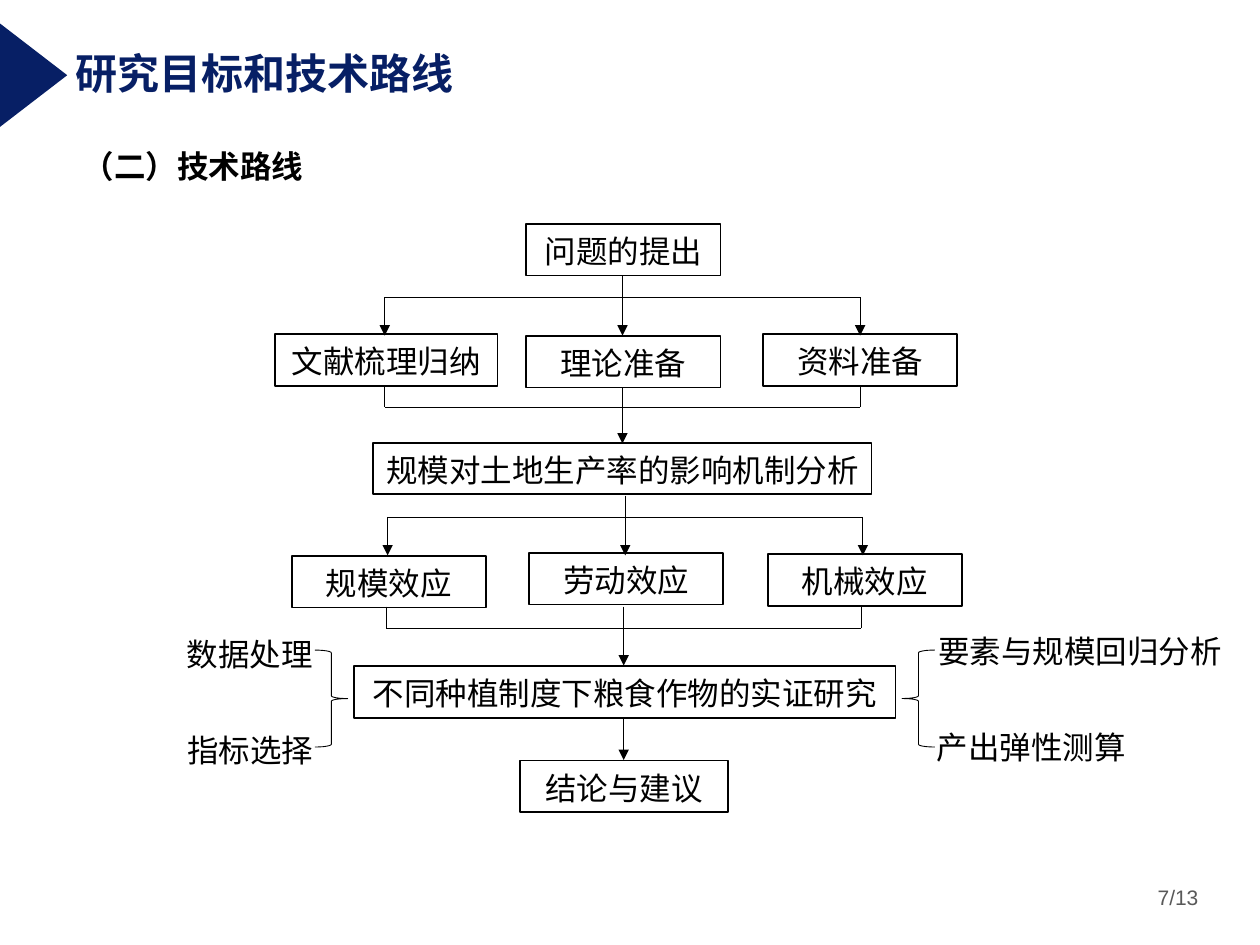
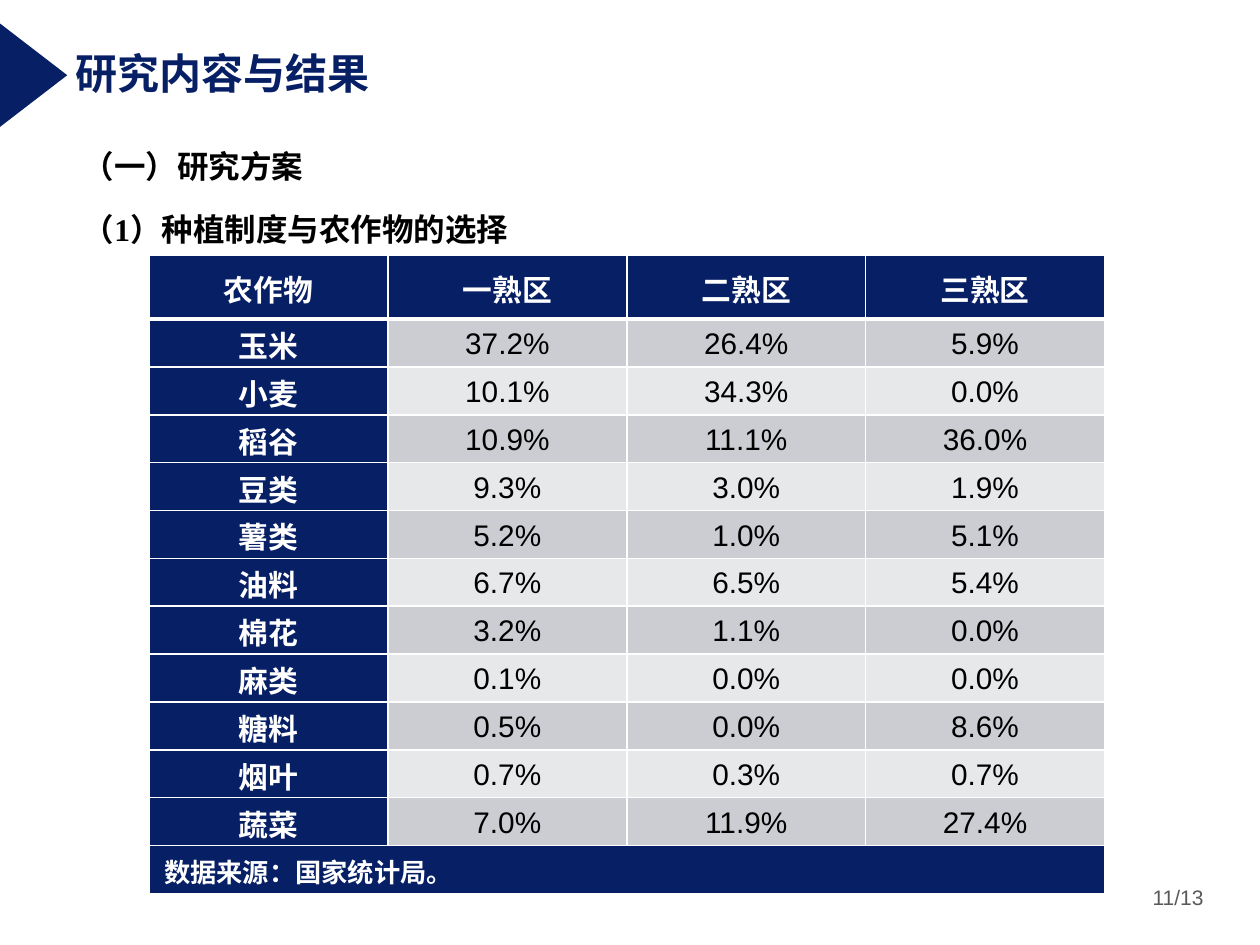
from pptx import Presentation
from pptx.dml.color import RGBColor
from pptx.enum.shapes import MSO_CONNECTOR, MSO_SHAPE
from pptx.enum.text import MSO_ANCHOR, PP_ALIGN as ALIGN
from pptx.oxml.ns import qn
from pptx.util import Pt
from lxml.etree import SubElement

NAVY = RGBColor(0x07, 0x1F, 0x65)
BLACK = RGBColor(0, 0, 0)
WHITE = RGBColor(0xFF, 0xFF, 0xFF)
GREY = RGBColor(0x59, 0x59, 0x59)
BAND_DARK = RGBColor(0xCC, 0xCD, 0xD3)
BAND_LIGHT = RGBColor(0xE7, 0xE8, 0xEA)


def write(frame, lines, size=18, color=BLACK, bold=False, font="Arial",
          align=ALIGN.CENTER, anchor=MSO_ANCHOR.MIDDLE, spacing=1.07, after=0):
    frame.word_wrap = True
    frame.vertical_anchor = anchor
    for number, words in enumerate(lines):
        paragraph = frame.add_paragraph() if number else frame.paragraphs[0]
        paragraph.alignment = align
        paragraph.line_spacing = spacing
        paragraph.space_after = Pt(after)
        run = paragraph.add_run()
        run.text = words
        for key, value in {"size": Pt(size), "bold": bold, "name": font}.items():
            setattr(run.font, key, value)
        run.font.color.rgb = color


def draw_line(slide, x1, y1, x2, y2, arrow=False):
    line = slide.shapes.add_connector(
        MSO_CONNECTOR.STRAIGHT, Pt(x1), Pt(y1), Pt(x2), Pt(y2))
    line.line.color.rgb = BLACK
    line.line.width = Pt(0.5)
    if arrow:
        SubElement(line.line._get_or_add_ln(), qn("a:tailEnd"), type="triangle")
    SubElement(line._element.spPr, qn("a:effectLst"))


prs = Presentation()
prs.slide_width, prs.slide_height = Pt(720), Pt(540)

# Title, wedge, subheadings and page number of both slides
pages = [
    ("研究目标和技术路线", ["（二）技术路线"], "7/13"),
    ("研究内容与结果", ["（一）研究方案", "（1）种植制度与农作物的选择"], "11/13"),
]
for title, subheads, page_number in pages:
    slide = prs.slides.add_slide(prs.slide_layouts[6])
    footer = slide.shapes.add_textbox(Pt(640.8), Pt(502.5), Pt(64.8), Pt(28.8))
    write(footer.text_frame, [page_number], size=12, color=GREY,
          anchor=MSO_ANCHOR.TOP, spacing=1.0)
    for side, margin in {"left": 5, "right": 5, "top": 3, "bottom": 3}.items():
        setattr(footer.text_frame, f"margin_{side}", Pt(margin))
    heading = slide.shapes.add_textbox(
        Pt(40.3), Pt(72), Pt(679.7), Pt(37 * len(subheads)))
    write(heading.text_frame, subheads, bold=True, font="Times New Roman",
          align=ALIGN.LEFT, anchor=MSO_ANCHOR.TOP, spacing=Pt(30), after=6)
    banner = slide.shapes.add_textbox(Pt(36), Pt(23.8), Pt(684), Pt(36))
    write(banner.text_frame, [title], size=24, color=NAVY, bold=True,
          align=ALIGN.LEFT, anchor=MSO_ANCHOR.TOP, spacing=1.0)
    wedge = slide.shapes.add_shape(
        MSO_SHAPE.ISOSCELES_TRIANGLE, Pt(-11.6), Pt(23.3), Pt(60.6), Pt(39.4))
    wedge.rotation = 90
    wedge.shadow.inherit = False
    wedge.fill.solid()
    wedge.fill.fore_color.rgb = NAVY
    wedge.line.fill.background()

route_slide, crop_slide = prs.slides

# Technical route: boxes as text, left, top, width
STEP_HEIGHT = 29.5
steps = [
    ("问题的提出", 300.7, 128, 111),
    ("文献梳理归纳", 157, 191, 127.4),
    ("理论准备", 300.7, 192, 111),
    ("资料准备", 436, 191, 111),
    ("规模对土地生产率的影响机制分析", 213.1, 253, 285),
    ("规模效应", 166.8, 317.6, 111),
    ("劳动效应", 302.4, 316, 111),
    ("机械效应", 438.7, 316.7, 111),
    ("不同种植制度下粮食作物的实证研究", 202.3, 380.6, 309.4),
    ("结论与建议", 297, 434.6, 119),
]
for words, left, top, width in steps:
    step = route_slide.shapes.add_shape(
        MSO_SHAPE.RECTANGLE, Pt(left), Pt(top), Pt(width), Pt(STEP_HEIGHT))
    step.shadow.inherit = False
    step.fill.background()
    step.line.color.rgb = BLACK
    step.line.width = Pt(1)
    write(step.text_frame, [words])

# Each junction: stem x, top, height of the cross bar, bottom, splits or joins
REACH = 135.8
junctions = [
    (355.7, 157.7, 169.9, 191.8, True),
    (355.7, 221.4, 232.8, 253.4, False),
    (357.3, 283.2, 295.4, 317.4, True),
    (356.4, 346.7, 359, 380.3, False),
]
for stem, top, bar, bottom, splits in junctions:
    draw_line(route_slide, stem, top, stem, bottom, arrow=True)
    draw_line(route_slide, stem - REACH, bar, stem + REACH, bar)
    for x in (stem - REACH, stem + REACH):
        if splits:
            draw_line(route_slide, x, bar, x, bottom, arrow=True)
        else:
            draw_line(route_slide, x, top, x, bar)
draw_line(route_slide, 356.4, 410, 356.4, 434.3, arrow=True)

side_notes = [
    ("数据处理", 92.2, 358, 101, ALIGN.CENTER),
    ("指标选择", 92.5, 412.8, 101, ALIGN.CENTER),
    ("要素与规模回归分析", 528.3, 356.4, 177.5, ALIGN.CENTER),
    ("产出弹性测算", 528.3, 411.2, 147, ALIGN.LEFT),
]
for words, left, top, width, align in side_notes:
    note = route_slide.shapes.add_textbox(
        Pt(left), Pt(top), Pt(width), Pt(STEP_HEIGHT))
    write(note.text_frame, [words], align=align)

for outline, left in ((MSO_SHAPE.RIGHT_BRACE, 180), (MSO_SHAPE.LEFT_BRACE, 515.5)):
    brace = route_slide.shapes.add_shape(
        outline, Pt(left), Pt(371.5), Pt(18.7), Pt(55.4))
    brace.shadow.inherit = False
    brace.fill.background()
    brace.line.color.rgb = BLACK
    brace.line.width = Pt(0.5)

# Crop shares by cropping region
crop_rows = [
    ("农作物", "一熟区", "二熟区", "三熟区"),
    ("玉米", "37.2%", "26.4%", "5.9%"),
    ("小麦", "10.1%", "34.3%", "0.0%"),
    ("稻谷", "10.9%", "11.1%", "36.0%"),
    ("豆类", "9.3%", "3.0%", "1.9%"),
    ("薯类", "5.2%", "1.0%", "5.1%"),
    ("油料", "6.7%", "6.5%", "5.4%"),
    ("棉花", "3.2%", "1.1%", "0.0%"),
    ("麻类", "0.1%", "0.0%", "0.0%"),
    ("糖料", "0.5%", "0.0%", "8.6%"),
    ("烟叶", "0.7%", "0.3%", "0.7%"),
    ("蔬菜", "7.0%", "11.9%", "27.4%"),
    ("数据来源：国家统计局。",),
]
last = len(crop_rows) - 1
crops = crop_slide.shapes.add_table(
    len(crop_rows), 4, Pt(85.2), Pt(145.8), Pt(546), Pt(365)).table
crops.first_row = crops.horz_banding = False
for column in crops.columns:
    column.width = Pt(136.5)
for r, row in enumerate(crops.rows):
    row.height = Pt(27.37 if r else 36.5)
crops.cell(last, 0).merge(crops.cell(last, 3))

for r, values in enumerate(crop_rows):
    for c, value in enumerate(values):
        cell = crops.cell(r, c)
        for side in ("left", "right", "top", "bottom"):
            setattr(cell, f"margin_{side}", Pt(8.6 if side in ("left", "right") else 0))
        borders = {"lnL": 1, "lnR": 1, "lnT": 3 if r == 1 else 1,
                   "lnB": 1 if r else 3}
        for tag, width in borders.items():
            border = SubElement(cell._tc.get_or_add_tcPr(), qn(f"a:{tag}"),
                                w=str(Pt(width)))
            paint = SubElement(border, qn("a:solidFill"))
            SubElement(paint, qn("a:srgbClr"), val=str(WHITE))
        is_label = r == 0 or c == 0
        band = BAND_DARK if r % 2 else BAND_LIGHT
        cell.fill.solid()
        cell.fill.fore_color.rgb = NAVY if is_label else band
        write(cell.text_frame, [value], size=15 if r == last else 17,
              color=WHITE if is_label else BLACK, bold=is_label,
              align=ALIGN.JUSTIFY if r == last else ALIGN.CENTER)
        cell.vertical_anchor = MSO_ANCHOR.MIDDLE

prs.save("out.pptx")
